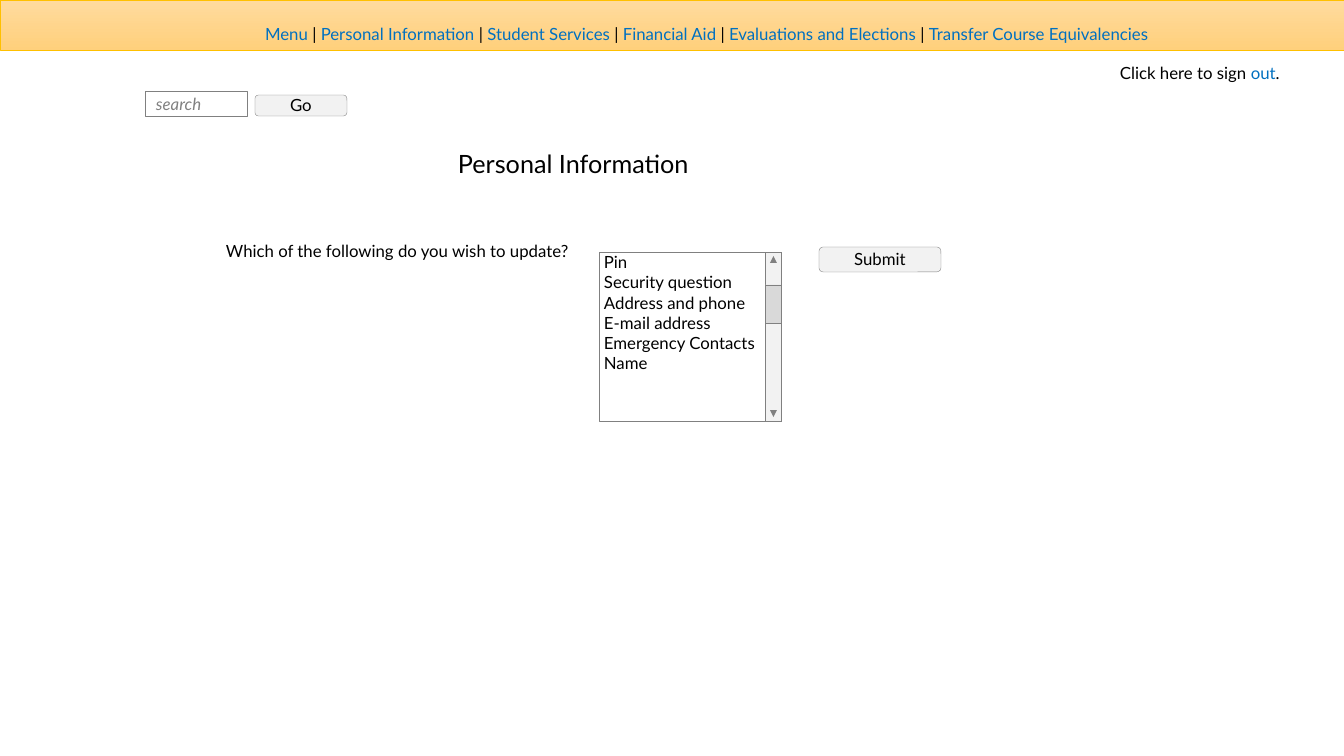
from dataclasses import dataclass

from pptx import Presentation
from pptx.dml.color import RGBColor
from pptx.enum.shapes import MSO_SHAPE as SHAPE
from pptx.enum.text import MSO_ANCHOR as ANCHOR, MSO_AUTO_SIZE as AUTO, PP_ALIGN as ALIGN
from pptx.util import Emu, Pt

PX = 914400 / 100.8
FONT = "Lato"
COLORS = {
    "text": "000000", "link": "0070C0", "gray": "808080", "white": "FFFFFF",
    "button": "F2F2F2", "thumb": "D9D9D9",
    "bar_top": "FFDB9E", "bar_bottom": "FFD07C", "bar_line": "FFC000",
}
NAV = ["Menu", "Personal Information", "Student Services", "Financial Aid",
       "Evaluations and Elections", "Transfer Course Equivalencies"]
OPTIONS = ["Pin", "Security question", "Address and phone", "E-mail address",
           "Emergency Contacts", "Name"]

Runs = list[tuple[str, str]]
Box = tuple[int, int, int, int]


@dataclass
class Panel:
    box: Box
    fill: str
    line: str | None = "gray"
    kind: SHAPE = SHAPE.RECTANGLE
    rotation: int = 0


@dataclass
class Label:
    box: Box
    paragraphs: list[Runs]
    size: int = 12
    wrap: bool = True
    anchor: ANCHOR = ANCHOR.MIDDLE
    insets: Box = (10, 2, 10, 3)


def emu(px: int) -> Emu:
    return Emu(round(px * PX))


def rgb(name: str) -> RGBColor:
    return RGBColor.from_string(COLORS[name])


def write(sp, paragraphs: list[Runs], insets: Box, size: int = 12,
          align: ALIGN = ALIGN.LEFT, anchor: ANCHOR = ANCHOR.MIDDLE, italic: bool = False):
    tf = sp.text_frame
    tf.margin_left, tf.margin_top, tf.margin_right, tf.margin_bottom = map(emu, insets)
    tf.vertical_anchor = anchor
    for i, runs in enumerate(paragraphs):
        p = tf.add_paragraph() if i else tf.paragraphs[0]
        p.alignment = align
        for text, color in runs:
            r = p.add_run()
            r.text = text
            r.font.name, r.font.size = FONT, Pt(size)
            r.font.italic = italic
            r.font.color.rgb = rgb(color)


def add_panel(s, panel: Panel):
    sp = s.shapes.add_shape(panel.kind, *map(emu, panel.box))
    sp.shadow.inherit = False
    sp.rotation = panel.rotation
    sp.fill.solid()
    sp.fill.fore_color.rgb = rgb(panel.fill)
    if panel.line:
        sp.line.color.rgb = rgb(panel.line)
        sp.line.width = Pt(0.25)
    else:
        sp.line.fill.background()
    return sp


def add_label(s, label: Label):
    sp = s.shapes.add_textbox(*map(emu, label.box))
    write(sp, label.paragraphs, label.insets, label.size, anchor=label.anchor)
    sp.text_frame.word_wrap = label.wrap
    sp.text_frame.auto_size = AUTO.SHAPE_TO_FIT_TEXT


def add_button(s, box: Box, caption: str):
    sp = add_panel(s, Panel(box, "button", kind=SHAPE.ROUNDED_RECTANGLE))
    write(sp, [[(caption, "text")]], (10, 0, 10, 1), align=ALIGN.CENTER)


def add_nav_bar(s):
    bar = add_panel(s, Panel((0, 0, 1344, 50), "bar_top", "bar_line"))
    bar.line.width = Pt(0.5)
    bar.fill.gradient()
    bar.fill.gradient_angle = 270
    for stop, color in zip(bar.fill.gradient_stops, ("bar_top", "bar_bottom")):
        stop.color.rgb = rgb(color)
    runs: Runs = []
    for name in NAV[:-1]:
        runs += [(name + " ", "link"), ("| ", "text")]
    runs.append((NAV[-1], "link"))
    add_label(s, Label((255, 22, 909, 27), [runs], wrap=False, insets=(10, 2, 10, 5)))


def add_list_box(s, left: int, top: int, width: int, height: int):
    bar_width, arrow = 16, 7
    bar_left = left + width - bar_width
    arrow_left = bar_left + 5
    add_panel(s, Panel((left, top, width, height), "white"))
    add_label(s, Label((left, top, width, 124), [[(o, "text")] for o in OPTIONS],
                       anchor=ANCHOR.TOP, insets=(5, 0, 0, 2)))
    for panel in (
        Panel((bar_left, top, bar_width, height), "button"),
        Panel((bar_left, top + 33, bar_width, 38), "thumb"),
        Panel((arrow_left, top + 4, arrow, arrow), "gray", None, SHAPE.ISOSCELES_TRIANGLE),
        Panel((arrow_left, top + height - 4 - arrow, arrow, arrow), "gray", None,
              SHAPE.ISOSCELES_TRIANGLE, 180),
    ):
        add_panel(s, panel)


def main():
    prs = Presentation()
    prs.slide_width, prs.slide_height = emu(1344), emu(756)
    s = prs.slides.add_slide(prs.slide_layouts[6])

    add_nav_bar(s)
    sign_out = [("Click here to sign ", "text"), ("out", "link"), (".", "text")]
    add_label(s, Label((1110, 61, 186, 25), [sign_out], wrap=False))

    search = add_panel(s, Panel((145, 91, 102, 25), "white"))
    write(search, [[("search", "gray")]], (11, 5, 11, 5), italic=True)
    add_button(s, (255, 95, 92, 21), "Go")

    add_label(s, Label((448, 146, 372, 35), [[("Personal Information", "text")]], size=18))
    question = "Which of the following do you wish to update?"
    add_label(s, Label((216, 239, 384, 25), [[(question, "text")]]))
    add_list_box(s, 599, 252, 182, 169)
    add_button(s, (819, 247, 122, 25), "Submit")

    prs.save("out.pptx")


if __name__ == "__main__":
    main()
